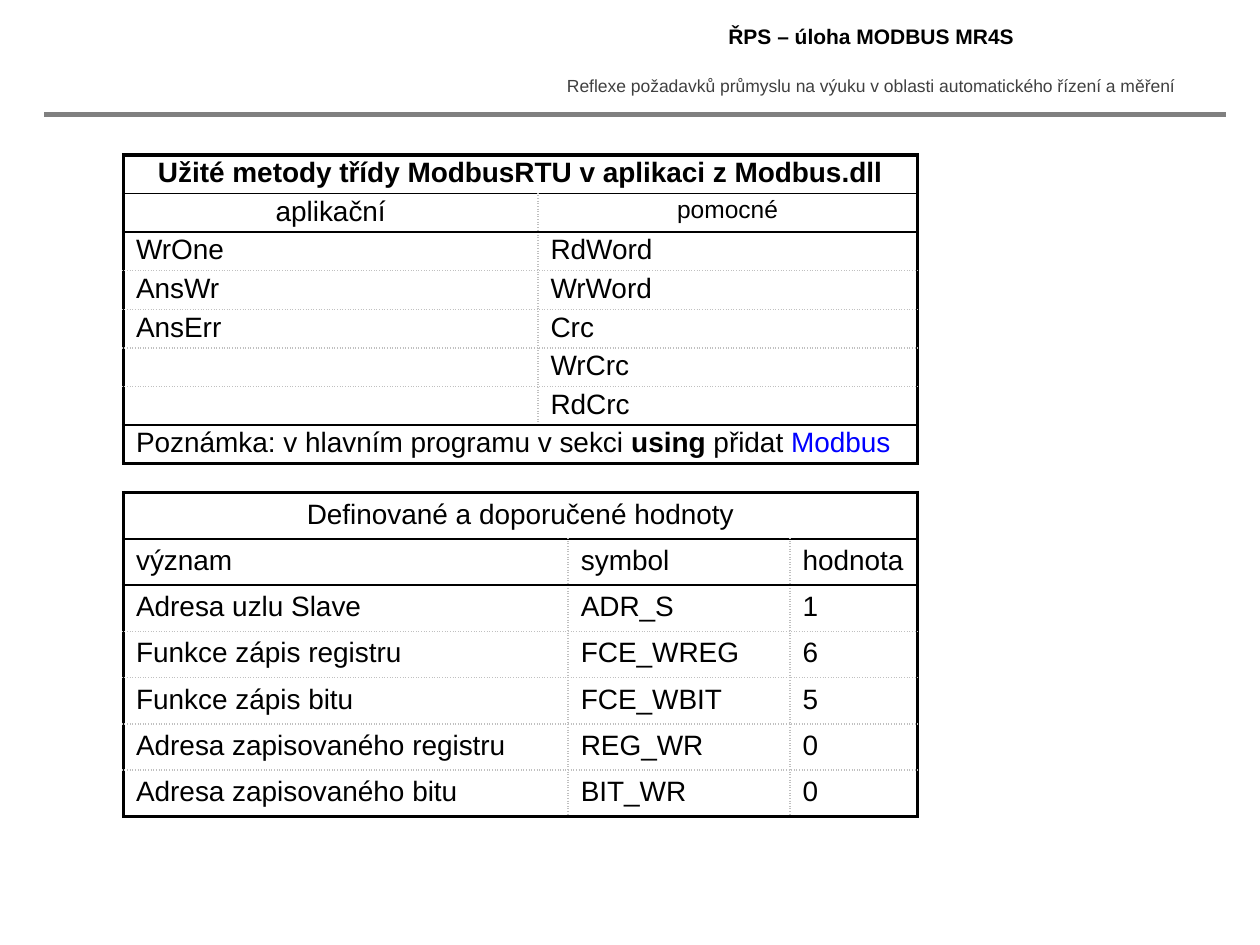
import lxml.etree
import pptx
import pptx.dml.color
import pptx.enum.shapes
import pptx.enum.text
import pptx.oxml.ns
import pptx.util

GRID_COLUMNS, GRID_ROWS = 100, 75
CENTER = pptx.enum.text.PP_ALIGN.CENTER
LEFT = pptx.enum.text.PP_ALIGN.LEFT
HEAVY = ("000000", 2.25, "solid")
THIN = ("000000", 1, "solid")
DOTTED = ("C0C0C0", 1, "sysDot")


def color(value):
    return pptx.dml.color.RGBColor.from_string(value)


def set_values(target, values):
    for name, value in values.items():
        setattr(target, name, value)


def add_element(parent, tag, **attributes):
    return lxml.etree.SubElement(parent, pptx.oxml.ns.qn(tag), attributes)


class SlideBuilder:
    """Draws styled elements on one slide, placed on a 100 by 75 grid."""

    font_name = "Arial"
    text_color = "000000"

    def __init__(self, presentation):
        self.unit_x = presentation.slide_width / GRID_COLUMNS
        self.unit_y = presentation.slide_height / GRID_ROWS
        self.slide = presentation.slides.add_slide(presentation.slide_layouts[6])

    def place(self, left, top, width, height):
        return (round(left * self.unit_x), round(top * self.unit_y),
                round(width * self.unit_x), round(height * self.unit_y))

    def fill_paragraph(self, paragraph, parts, size, alignment):
        paragraph.alignment = alignment
        for text, values in parts:
            run = paragraph.add_run()
            run.text = text
            values = {"name": self.font_name, "size": pptx.util.Pt(size), "bold": False,
                      "color": self.text_color, **values}
            run.font.color.rgb = color(values.pop("color"))
            set_values(run.font, values)
        if not parts:
            add_element(paragraph._p, "a:endParaRPr", sz=str(size * 100))

    def text(self, box, text, size, **values):
        shape = self.slide.shapes.add_textbox(*self.place(*box))
        shape.text_frame.word_wrap = True
        self.fill_paragraph(shape.text_frame.paragraphs[0], [(text, values)], size, CENTER)

    def line(self, left, right, row, line_color, width):
        x, y, length, _ = self.place(left, row, right - left, 0)
        connector = self.slide.shapes.add_connector(
            pptx.enum.shapes.MSO_CONNECTOR.STRAIGHT, x, y, x + length, y)
        connector.line.color.rgb = color(line_color)
        connector.line.width = pptx.util.Pt(width)
        add_element(connector._element.spPr, "a:effectLst")

    def border(self, cell, sides):
        properties = cell._tc.get_or_add_tcPr()
        for tag, (line_color, width, dash) in sides:
            line = add_element(properties, tag, w=str(int(pptx.util.Pt(width))))
            fill = add_element(line, "a:solidFill")
            add_element(fill, "a:srgbClr", val=line_color)
            add_element(line, "a:prstDash", val=dash)

    def table(self, box, widths, rows, thin_lines, centered, margin):
        """Builds a table; a row with one entry spans all the columns."""
        last_row, last_column = len(rows), len(widths)
        table = self.slide.shapes.add_table(last_row, last_column, *self.place(*box)).table
        set_values(table, {"first_row": False, "horz_banding": False})
        for column, width in zip(table.columns, widths):
            column.width = round(width * self.unit_x)

        def horizontal(index):
            if index in (0, last_row):
                return HEAVY
            return THIN if index in thin_lines else DOTTED

        for row, entries in enumerate(rows):
            merged = len(entries) == 1
            if merged:
                table.cell(row, 0).merge(table.cell(row, last_column - 1))
            for column in range(last_column):
                cell = table.cell(row, column)
                sides = []
                if not cell.is_spanned:
                    sides.append(("a:lnL", DOTTED if column else HEAVY))
                if column == last_column - 1 or cell.is_merge_origin:
                    sides.append(("a:lnR", HEAVY))
                elif not merged:
                    sides.append(("a:lnR", DOTTED))
                sides += [("a:lnT", horizontal(row)), ("a:lnB", horizontal(row + 1))]
                self.border(cell, sides)
                cell.fill.background()
                set_values(cell, {"margin_top": pptx.util.Inches(margin),
                                  "margin_bottom": pptx.util.Inches(margin)})
                if not cell.is_spanned:
                    entry = entries[column]
                    parts = [(entry, {})] if isinstance(entry, str) and entry else entry or []
                    self.fill_paragraph(cell.text_frame.paragraphs[0], parts, 16,
                                        CENTER if row in centered else LEFT)


METHODS = [
    [[("Užité metody třídy ModbusRTU v aplikaci z Modbus.dll", {"bold": True})]],
    ["aplikační", [("pomocné", {"size": pptx.util.Pt(14)})]],
    ["WrOne", "RdWord"],
    ["AnsWr", "WrWord"],
    ["AnsErr", "Crc"],
    ["", "WrCrc"],
    ["", "RdCrc"],
    [[("Poznámka: v hlavním programu v sekci ", {}), ("using ", {"bold": True}),
      ("přidat ", {}), ("Modbus", {"color": "0000FF"})]],
]
VALUES = [
    ["Definované a doporučené hodnoty"],
    ["význam", "symbol", "hodnota"],
    ["Adresa uzlu Slave", "ADR_S", "1"],
    ["Funkce zápis registru", "FCE_WREG", "6"],
    ["Funkce zápis bitu", "FCE_WBIT", "5"],
    ["Adresa zapisovaného registru", "REG_WR", "0"],
    ["Adresa zapisovaného bitu", "BIT_WR", "0"],
]


def main():
    presentation = pptx.Presentation()
    set_values(presentation, {"slide_width": pptx.util.Inches(10),
                              "slide_height": pptx.util.Inches(7.5)})
    builder = SlideBuilder(presentation)
    builder.text((43, 5.5, 52.2, 2.7),
                 "Reflexe požadavků průmyslu na výuku v oblasti automatického řízení a měření",
                 10, color="404040")
    builder.line(3.5, 97.3, 9.1, "808080", 3)
    builder.table((9.8, 12.3, 63, 24.5), (32.9, 30.1), METHODS, (1, 2, 7), (0, 1), 0.02)
    builder.text((43, 1.4, 52.3, 3.1), "ŘPS – úloha MODBUS MR4S", 12, bold=True)
    builder.table((9.8, 39.1, 63, 25.7), (35.3, 17.6, 10.1), VALUES, (1, 2), (0,), 0.05)
    presentation.save("out.pptx")


if __name__ == "__main__":
    main()
